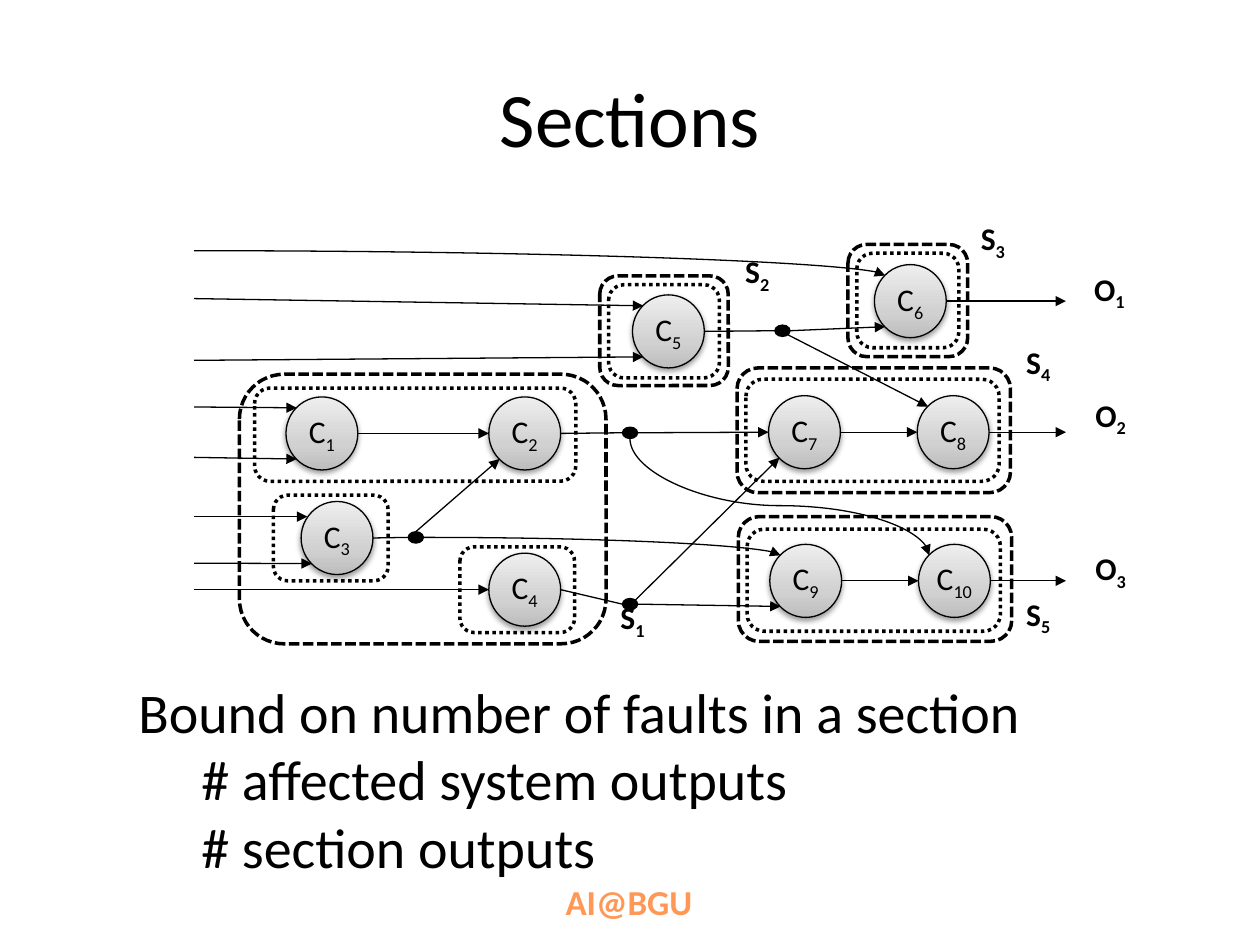
"""Build the "Sections" slide: a component circuit grouped into sections."""
from lxml import etree
from pptx import Presentation
from pptx import util as u
from pptx.dml.color import RGBColor
from pptx.enum import dml, shapes, text
from pptx.oxml.ns import qn

INCH = 2.54
FONT, BLACK = "Calibri", "000000"
NODE, DOT = (0.57, 0.58), (0.12, 0.09)
IN_X, OUT_X = 1.54, 8.46
STEEL = [(0, "BDBDBD"), (35, "D1D1D1"), (100, "EEEEEE")]
ORANGE = [(0, "9D4700"), (78, "FF9856"), (100, "FFF5F1")]

NODES = {
    "C1": (2.27, 3.15), "C2": (3.88, 3.15), "C3": (2.39, 3.98), "C4": (3.88, 4.39),
    "C5": (5.02, 2.34), "C6": (6.94, 2.1), "C7": (6.1, 3.14), "C8": (7.28, 3.14),
    "C9": (6.11, 4.32), "C10": (7.29, 4.32),
}
DOTS = {"after C2": (4.94, 3.39), "after C3": (3.24, 4.22),
        "after C4": (4.94, 4.75), "after C5": (6.15, 2.58)}
SIDES = {"l": (0, 0.5), "r": (1, 0.5), "t": (0.5, 0), "b": (0.5, 1),
         "tl": (0.15, 0.15), "tr": (0.85, 0.15), "bl": (0.15, 0.85), "br": (0.85, 0.85)}

INPUTS = [(2.37, "C5", "tl"), (2.86, "C5", "bl"), (3.23, "C1", "tl"),
          (3.63, "C1", "bl"), (4.47, "C3", "bl"), (4.68, "C4", "l")]
OUTPUTS = ["C6", "C8", "C10"]
WIRES = [("C2", "after C2"), ("C3", "after C3"), ("C4", "after C4"), ("C5", "after C5")]
ARROWS = [
    ("C1", "r", "C2", "l"), ("C7", "r", "C8", "l"), ("C9", "r", "C10", "l"),
    ("after C2", "r", "C7", "l"), ("after C3", "t", "C2", "bl"),
    ("after C4", "r", "C9", "bl"), ("after C4", "tr", "C7", "bl"),
    ("after C5", "r", "C6", "bl"), ("after C5", "br", "C8", "tl"),
]
DOTTED = [(2.02, 3.08, 2.55, 0.74), (2.17, 3.93, 0.91, 0.68), (3.65, 4.34, 0.91, 0.68),
          (4.83, 2.26, 0.88, 0.74), (6.8, 2.01, 0.81, 0.75),
          (5.92, 3.01, 2.01, 0.81), (5.93, 4.2, 2.01, 0.81)]
DASHED = [(1.9, 2.97, 2.91, 2.14), (4.76, 2.19, 1.02, 0.87), (6.73, 1.94, 0.95, 0.89),
          (5.85, 2.92, 2.17, 0.99), (5.86, 4.1, 2.17, 0.99)]
LABELS = {
    "S1": (4.71, 4.7), "S2": (5.7, 1.95), "S3": (7.57, 1.69), "S4": (7.93, 2.67),
    "S5": (7.93, 4.67), "O1": (8.45, 2.09), "O2": (8.46, 3.09), "O3": (8.46, 4.31),
}
LABEL_WIDTH = {"S": 0.62, "O": 0.71}
BODY = [("Bound on number of faults in a section", 0),
        ("# affected system outputs", 1), ("# section outputs", 1)]


def cm(*inches):
    return [u.Cm(v * INCH) for v in inches]


def rgb(value):
    return RGBColor.from_string(value)


def style(r, size, bold=False):
    r.font.name, r.font.size, r.font.bold = FONT, u.Pt(size), bold
    r.font.color.rgb = rgb(BLACK)


def gradient(fill, owner, stops, angle):
    fill.gradient()
    grad = owner.find(qn("a:gradFill"))
    stop_list = grad.find(qn("a:gsLst"))
    stop_list.clear()
    for pos, value in stops:
        gs = etree.SubElement(stop_list, qn("a:gs"), pos=str(pos * 1000))
        etree.SubElement(gs, qn("a:srgbClr"), val=value)
    grad.find(qn("a:lin")).set("ang", str(angle * 60000))


def outline(sp, width, dash=None):
    sp.line.color.rgb, sp.line.width = rgb(BLACK), u.Pt(width)
    if dash:
        sp.line.dash_style = dash


def add_shape(s, kind, box):
    sp = s.shapes.add_shape(kind, *cm(*box))
    sp.shadow.inherit = False
    return sp


def indexed(sp, name, bold=False):
    tf = sp.text_frame
    tf.word_wrap = False
    p = tf.paragraphs[0]
    p.alignment = text.PP_ALIGN.CENTER
    for part in (name[0], name[1:]):
        r = p.add_run()
        r.text = part
        style(r, 18, bold)
    r.font._element.set("baseline", "-25000")


def add_node(s, name, pos):
    sp = add_shape(s, shapes.MSO_SHAPE.OVAL, pos + NODE)
    gradient(sp.fill, sp._element.spPr, STEEL, 270)
    outline(sp, 0.75)
    effects = sp._element.spPr.find(qn("a:effectLst"))
    shadow = etree.SubElement(effects, qn("a:outerShdw"), blurRad="40000", dist="20000",
                              dir="5400000", rotWithShape="0")
    color = etree.SubElement(shadow, qn("a:srgbClr"), val=BLACK)
    etree.SubElement(color, qn("a:alpha"), val="38000")
    sp.text_frame.vertical_anchor = text.MSO_ANCHOR.MIDDLE
    indexed(sp, name)


def site(name, side):
    (x, y), (w, h) = (NODES[name], NODE) if name in NODES else (DOTS[name], DOT)
    fx, fy = SIDES[side]
    return x + w * fx, y + h * fy


def connect(s, start, end, head=True, kind=shapes.MSO_CONNECTOR.STRAIGHT):
    c = s.shapes.add_connector(kind, *cm(*start, *end))
    outline(c, 0.75)
    if head:
        etree.SubElement(c.line._get_or_add_ln(), qn("a:tailEnd"), type="triangle")
    etree.SubElement(c._element.spPr, qn("a:effectLst"))
    return c


def bend(s, start, end):
    c = connect(s, start, end, kind=shapes.MSO_CONNECTOR.CURVE)
    c._element.spPr.find(qn("a:prstGeom")).set("prst", "curvedConnector2")


def s_curve(s, start, end, adjust):
    mx, my = (start[0] + end[0]) / 2, (start[1] + end[1]) / 2
    dx, dy = (end[0] - start[0]) / 2, (end[1] - start[1]) / 2
    c = connect(s, (mx - dy, my - dx), (mx + dy, my + dx), kind=shapes.MSO_CONNECTOR.CURVE)
    xfrm = c._element.spPr.find(qn("a:xfrm"))
    xfrm.set("rot", str(270 * 60000))
    xfrm.set("flipH", "1")
    guides = c._element.spPr.find(qn("a:prstGeom")).find(qn("a:avLst"))
    etree.SubElement(guides, qn("a:gd"), name="adj1", fmla=f"val {adjust * 1000}")


def add_circuit(s):
    for name, pos in NODES.items():
        add_node(s, name, pos)
    for pos in DOTS.values():
        sp = add_shape(s, shapes.MSO_SHAPE.OVAL, pos + DOT)
        sp.fill.solid()
        sp.fill.fore_color.rgb = rgb(BLACK)
        outline(sp, 0.75)
    for y, name, side in INPUTS:
        connect(s, (IN_X, y), site(name, side))
    connect(s, (IN_X, 4.1), (2.44, 4.1))
    for name in OUTPUTS:
        x, y = site(name, "r")
        connect(s, (x, y), (OUT_X, y))
    for node, dot in WIRES:
        connect(s, site(node, "r"), site(dot, "l"), head=False)
    for a, a_side, b, b_side in ARROWS:
        connect(s, site(a, a_side), site(b, b_side))
    bend(s, (IN_X, 1.99), site("C6", "tl"))
    bend(s, site("after C3", "r"), site("C9", "tl"))
    s_curve(s, site("after C2", "b"), site("C10", "tl"), 57.5)


def add_sections(s):
    dashes = dml.MSO_LINE
    for boxes, dash in ((DOTTED, dashes.ROUND_DOT), (DASHED, dashes.SQUARE_DOT)):
        for box in boxes:
            sp = add_shape(s, shapes.MSO_SHAPE.ROUNDED_RECTANGLE, box)
            sp.fill.background()
            outline(sp, 2, dash)
    for name, pos in LABELS.items():
        indexed(s.shapes.add_textbox(*cm(*pos, LABEL_WIDTH[name[0]], 0.64)), name, True)


def add_texts(s):
    title = s.shapes.title
    title.left, title.top, title.width, title.height = cm(0.5, 0.3, 9, 1.25)
    title.text_frame.text = "Sections"
    title.text_frame.vertical_anchor = text.MSO_ANCHOR.MIDDLE
    p = title.text_frame.paragraphs[0]
    p.alignment = text.PP_ALIGN.CENTER
    style(p.runs[0], 44)

    tf = s.shapes.add_textbox(*cm(1, 5.33, 8.24, 1.72)).text_frame
    tf.word_wrap = True
    for i, (line, level) in enumerate(BODY):
        p = tf.add_paragraph() if i else tf.paragraphs[0]
        p.text, p.level = line, level
        p._p.get_or_add_pPr().set("marL", str(u.Cm(1.27 * level)))
        style(p.runs[0], 32)

    tf = s.shapes.add_textbox(*cm(4.39, 6.94, 3.17, 0.4)).text_frame
    tf.word_wrap = True
    tf.text = "AI@BGU"
    r = tf.paragraphs[0].runs[0]
    style(r, 20, True)
    gradient(r.font.fill, r.font._element, ORANGE, 90)


def main():
    prs = Presentation()
    prs.slide_width, prs.slide_height = cm(10, 7.5)
    s = prs.slides.add_slide(prs.slide_layouts[5])
    add_circuit(s)
    add_sections(s)
    add_texts(s)
    prs.save("out.pptx")


if __name__ == "__main__":
    main()
